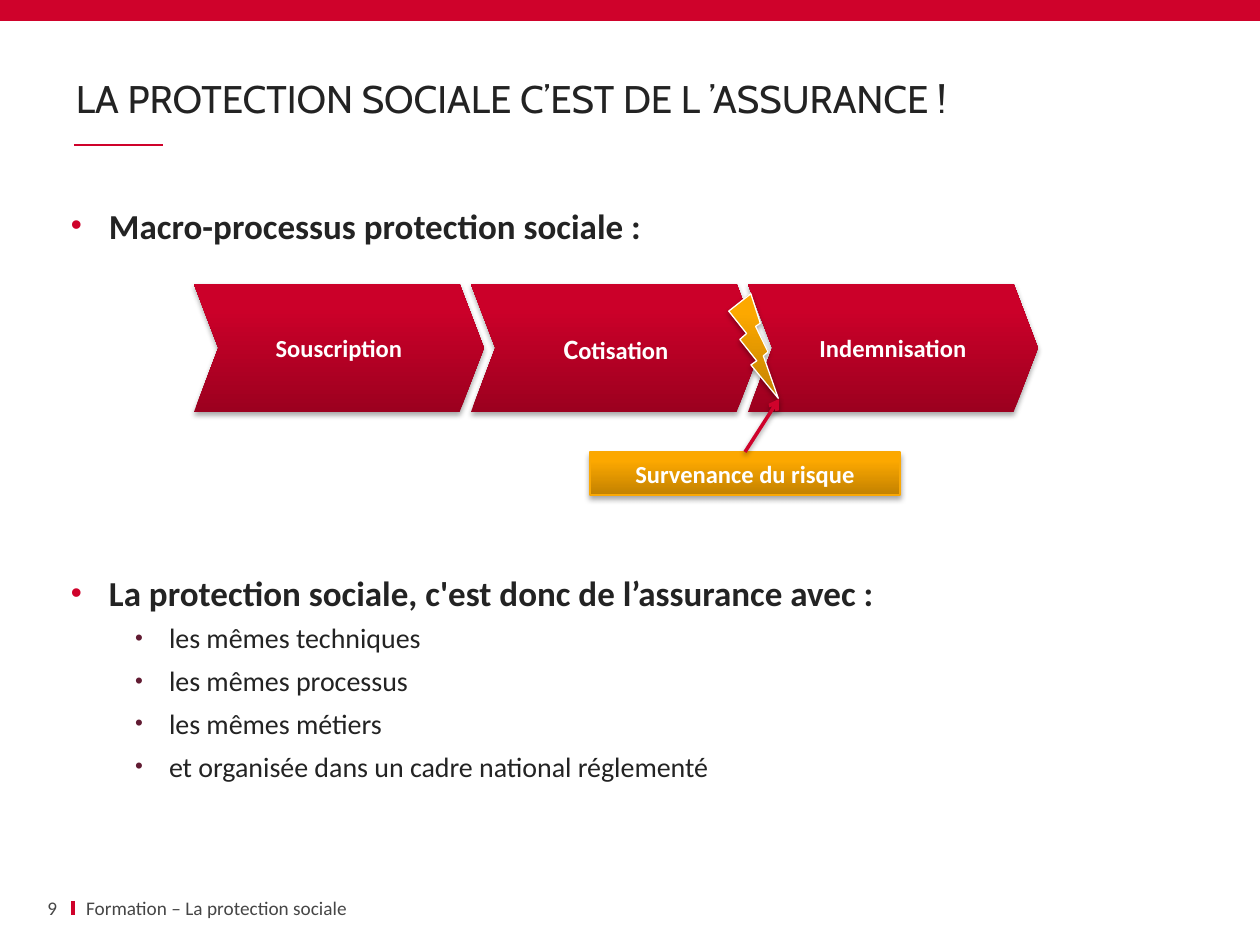
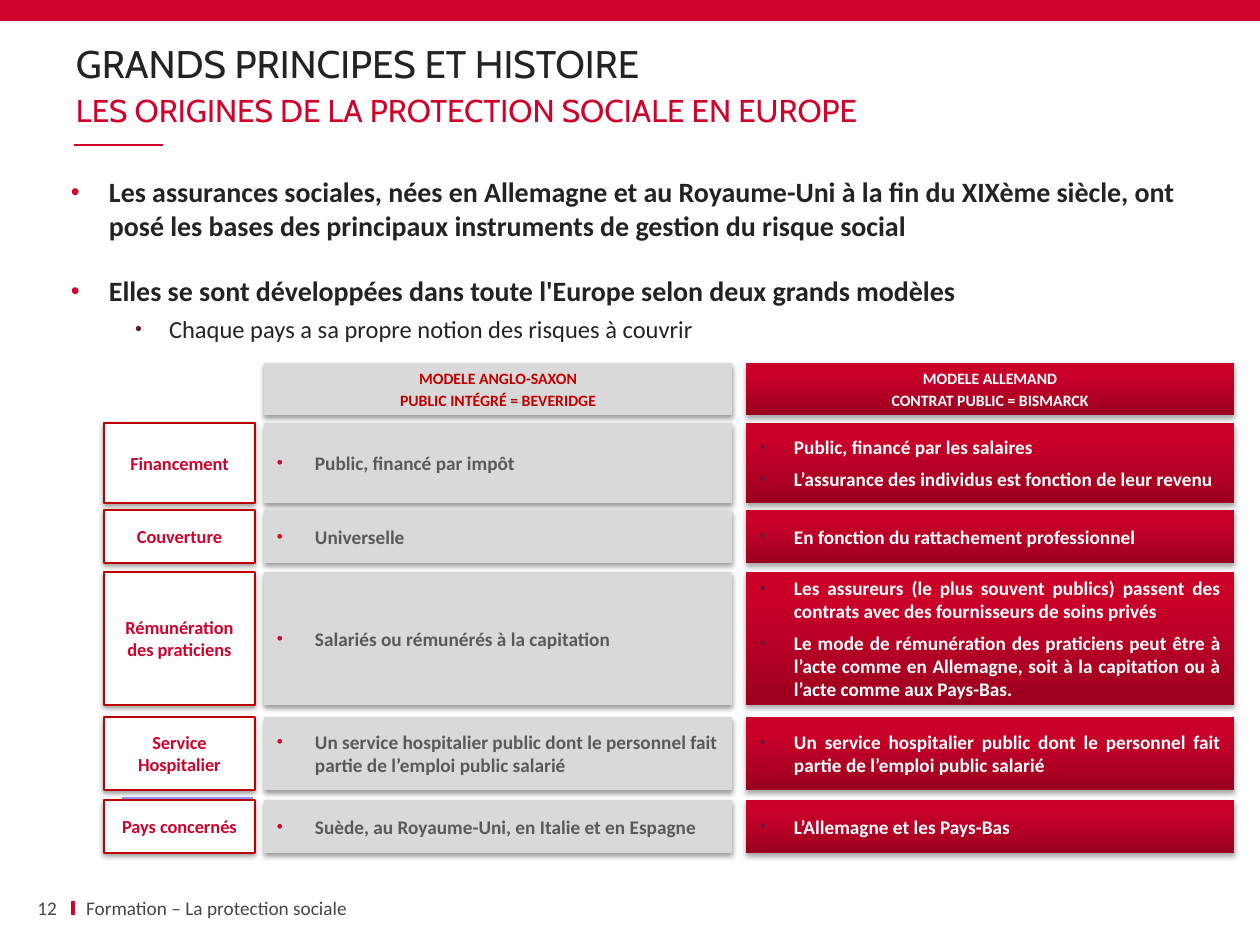
import pptx
import pptx.util
import pptx.dml.color
import pptx.enum.shapes
import pptx.enum.text
from pptx.oxml.ns import qn
from lxml import etree

Pt = pptx.util.Pt
KIND = pptx.enum.shapes.MSO_SHAPE
ALIGN = pptx.enum.text.PP_ALIGN
ANCHOR = pptx.enum.text.MSO_ANCHOR
PX = 914400 / 126

INK = {
    "red": "CF022B", "deep": "9C001F", "rich": "CB0029", "dark": "C00000",
    "gold": "FCA800", "brown": "C28100", "edge": "FAA804", "wine": "611B32",
    "text": "232323", "foot": "464646", "grey": "595959", "pale": "D9D9D9",
    "white": "FFFFFF", "black": "000000", "lilac": "9999FF",
}
RED = ("deep", "rich")
GOLD = ("brown", "gold")
# left margin, hanging indent, bullet colour, bullet size in %
MAIN = (38, 38, "red", 90)
SUB = (98, 34, "wine", 80)
CELL = (35, 34, "wine", 80)
FLAT = (0, 0, None, 0)


def px(n):
    return round(n * PX)


def rgb(name):
    return pptx.dml.color.RGBColor.from_string(INK[name])


def put(item, vals):
    for key, val in vals.items():
        setattr(item, key, val)


def node(root, tag, **attrs):
    return etree.SubElement(root, qn("a:" + tag), {k: str(v) for k, v in attrs.items()})


def mark(para, left, hang, ink, pct):
    """Set the indent and the bullet; no ink means no bullet."""
    props = para._p.get_or_add_pPr()
    props.set("marL", str(px(left)))
    props.set("indent", str(-px(hang)))
    if ink is None:
        node(props, "buNone")
        return
    node(node(props, "buClr"), "srgbClr", val=INK[ink])
    node(props, "buSzPct", val=pct * 1000)
    node(props, "buFont", typeface="Arial")
    node(props, "buChar", char="•")


def write(para, text, ink, size, bold=True, face="Calibri", bullet=None, **form):
    """Fill a paragraph; text is a string or a list of (string, size)."""
    put(para, form)
    if bullet:
        mark(para, *bullet)
    for part, pts in [(text, size)] if isinstance(text, str) else text:
        run = para.add_run()
        run.text = part
        put(run.font, {"size": Pt(pts), "bold": bold, "name": face})
        run.font.color.rgb = rgb(ink)


def fill(frame, texts, *args, **form):
    for i, text in enumerate(texts):
        para = frame.add_paragraph() if i else frame.paragraphs[0]
        write(para, text, *args, **form)


def setup(frame, side=0, edge=0, anchor=ANCHOR.MIDDLE, wrap=True):
    put(frame, {
        "margin_left": px(side), "margin_right": px(side),
        "margin_top": px(edge), "margin_bottom": px(edge),
        "vertical_anchor": anchor, "word_wrap": wrap,
        "auto_size": pptx.enum.text.MSO_AUTO_SIZE.NONE,
    })
    return frame


def place(item, box):
    put(item, dict(zip(("left", "top", "width", "height"), map(px, box))))


def shade(item, alpha=None, dist=1.8):
    """Replace the theme shadow with a soft one below, or with none."""
    root = node(item.element.spPr, "effectLst")
    if alpha:
        drop = node(root, "outerShdw", blurRad=Pt(3.1), dist=Pt(dist),
                    dir=5400000, algn="ctr", rotWithShape=0)
        node(node(drop, "srgbClr", val=INK["black"]), "alpha", val=alpha * 1000)


def block(slide, kind, box, paint, edge=None, shadow=(35, 1.8)):
    """Draw a shape; paint is one colour or a (bottom, top) pair."""
    item = slide.shapes.add_shape(kind, *map(px, box))
    if isinstance(paint, str):
        item.fill.solid()
        item.fill.fore_color.rgb = rgb(paint)
    else:
        item.fill.gradient()
        item.fill.gradient_angle = 90
        for stop, name, pos in zip(item.fill.gradient_stops, paint, (0, 0.8)):
            stop.color.rgb = rgb(name)
            stop.position = pos
    if edge:
        item.line.color.rgb = rgb(edge)
        item.line.width = Pt(0.75)
    else:
        item.line.fill.background()
    shade(item, *shadow)
    return item


def line(slide, x1, y1, x2, y2, ink, width):
    item = slide.shapes.add_connector(
        pptx.enum.shapes.MSO_CONNECTOR.STRAIGHT, *map(px, (x1, y1, x2, y2)))
    item.line.color.rgb = rgb(ink)
    item.line.width = Pt(width)
    return item


def label(slide, box, text, side, align):
    item = slide.shapes.add_textbox(*map(px, box))
    write(setup(item.text_frame, side).paragraphs[0], text, "foot", 11, False,
          alignment=align)


def page(deck, layout, number, title, top):
    """Add a slide with its band, rules, title and footer."""
    slide = deck.slides.add_slide(deck.slide_layouts[layout])
    shade(line(slide, 73, 901, 73, 915, "red", 2.25))
    shade(line(slide, 74, 145, 163, 145, "red", 1))
    block(slide, KIND.RECTANGLE, (0, 0, 1260, 21), "red", shadow=())
    head = slide.shapes.title
    place(head, (76, top, 1109, 45))
    write(setup(head.text_frame, 0, 6).paragraphs[0], title, "text", 22, False,
          "Cabin", alignment=ALIGN.LEFT, line_spacing=0.9)
    label(slide, (16, 896, 41, 23), number, 0, ALIGN.RIGHT)
    label(slide, (73, 896, 626, 23), "Formation – La protection sociale", 13, ALIGN.LEFT)
    return slide


def listing(slide, box, items, sizes):
    """Fill the body with (level, space before, text) items."""
    body = slide.placeholders[1]
    place(body, box)
    frame = setup(body.text_frame, anchor=ANCHOR.TOP)
    for i, (level, gap, text) in enumerate(items):
        para = frame.add_paragraph() if i else frame.paragraphs[0]
        write(para, text, "text", sizes[level], level == 0,
              bullet=(MAIN, SUB)[level], level=level, space_before=Pt(gap),
              space_after=Pt(1.2 * level), alignment=ALIGN.LEFT)


def process(slide, left, top):
    """Draw the three steps and the risk that strikes between two of them."""
    risk = block(slide, KIND.RECTANGLE, (left + 396, top + 168, 310, 43), GOLD, "edge")
    write(setup(risk.text_frame, 13, 6).paragraphs[0], "Survenance du risque",
          "white", 14, alignment=ALIGN.CENTER)
    steps = ("Souscription", [("C", 16), ("otisation", 14)], "Indemnisation")
    for i, text in enumerate(steps):
        step = block(slide, KIND.CHEVRON, (left + 277 * i, top, 290, 128), RED)
        step.adjustments[0] = 0.19
        write(setup(step.text_frame, 13, 6, wrap=False).paragraphs[0], text,
              "white", 14, alignment=ALIGN.CENTER)
    bolt = block(slide, KIND.LIGHTNING_BOLT, (left + 533, top + 10, 54, 103), GOLD, "white")
    bolt.rotation = 3
    arrow = line(slide, left + 551, top + 168, left + 585, top + 115, "red", 2)
    arrow.begin_connect(risk, 0)
    node(arrow.line._get_or_add_ln(), "tailEnd", type="arrow")
    shade(arrow, 38, 1.6)


ROWS = (
    (60, 80, "Financement", "Public, financé par impôt",
     ("Public, financé par les salaires",
      "L’assurance des individus est fonction de leur revenu")),
    (147, 53, "Couverture", "Universelle",
     ("En fonction du rattachement professionnel",)),
    (209, 133, "Rémunération des praticiens", "Salariés ou rémunérés à la capitation",
     ("Les assureurs (le plus souvent publics) passent des contrats avec des "
      "fournisseurs de soins privés",
      "Le mode de rémunération des praticiens peut être à l’acte comme en Allemagne, "
      "soit à la capitation ou à l’acte comme aux Pays-Bas.")),
    (354, 73, "Service Hospitalier",
     "Un service hospitalier public dont le personnel fait partie de l’emploi public salarié",
     ("Un service hospitalier public dont le personnel fait partie de l’emploi public salarié",)),
    (437, 53, "Pays concernés", "Suède, au Royaume-Uni, en Italie et en Espagne",
     ("L’Allemagne et les Pays-Bas",)),
)


def models(slide, left, top):
    """Compare the two models, one row for each theme."""
    soft = (38, 1.6)
    looks = (  # x, width, paint, edge, shadow
        (0, 151, "white", "dark", soft),
        (160, 468, "pale", None, soft),
        (642, 488, RED, None, (35, 1.8)),
    )
    mid = {"alignment": ALIGN.CENTER, "space_before": Pt(1.8)}
    forms = (
        ("red", 10.5, mid),
        ("grey", 11, {"bullet": MAIN, "alignment": ALIGN.LEFT}),
        ("white", 11, {"bullet": CELL, "alignment": ALIGN.JUSTIFY,
                       "space_before": Pt(4.1), "space_after": Pt(0.8)}),
    )

    def cell(col, y, high, texts, ink, size, form):
        x, wide, *look = looks[col]
        item = block(slide, KIND.RECTANGLE, (left + x, top + y, wide, high), *look)
        fill(setup(item.text_frame, 13, 6), texts, ink, size, **form)

    cell(1, 0, 52, ("MODELE ANGLO-SAXON", "PUBLIC INTÉGRÉ = BEVERIDGE"), "dark", 9, mid)
    cell(2, 0, 52, ("MODELE ALLEMAND", "CONTRAT PUBLIC = BISMARCK"), "white", 9, mid)
    for y in (140, 435):
        shade(line(slide, left + 18, top + y, left + 149, top + y, "lilac", 1))
    for y, high, theme, saxon, german in ROWS:
        for col, texts in enumerate(((theme,), (saxon,), german)):
            cell(col, y, high, texts, *forms[col])


def cover(deck):
    """Build the slide on insurance."""
    slide = page(deck, 1, "9", "LA PROTECTION SOCIALE C’EST DE L\u00a0’ASSURANCE !", 79)
    subs = ("les mêmes techniques", "les mêmes processus", "les mêmes métiers",
            "et organisée dans un cadre national réglementé")
    listing(slide, (71, 204, 1115, 645), [
        (0, 0, "Macro-processus protection sociale :"),
        (0, 186, "La protection sociale, c'est donc de l’assurance avec :"),
        *((1, 4.1, sub) for sub in subs),
    ], (20, 16))
    process(slide, 194, 284)


def origins(deck):
    slide = page(deck, 3, "12", "GRANDS PRINCIPES ET HISTOIRE", 44)
    under = slide.placeholders[2]
    place(under, (76, 91, 1109, 38))
    write(setup(under.text_frame, 0, 6).paragraphs[0],
          "LES ORIGINES DE LA PROTECTION SOCIALE EN EUROPE", "red", 18, False,
          "Cabin", bullet=FLAT, space_before=Pt(0))
    listing(slide, (71, 175, 1115, 218), [
        (0, 0, "Les assurances sociales, nées en Allemagne et au Royaume-Uni à la fin "
               "du XIXème siècle, ont posé les bases des principaux instruments de "
               "gestion du risque social"),
        (0, 18, "Elles se sont développées dans toute l'Europe selon deux grands modèles"),
        (1, 4.1, "Chaque pays a sa propre notion des risques à couvrir"),
    ], (16, 14))
    models(slide, 104, 363)


def main():
    deck = pptx.Presentation()
    put(deck, {"slide_width": px(1260), "slide_height": px(945)})
    cover(deck)
    origins(deck)
    deck.save("out.pptx")


if __name__ == "__main__":
    main()
